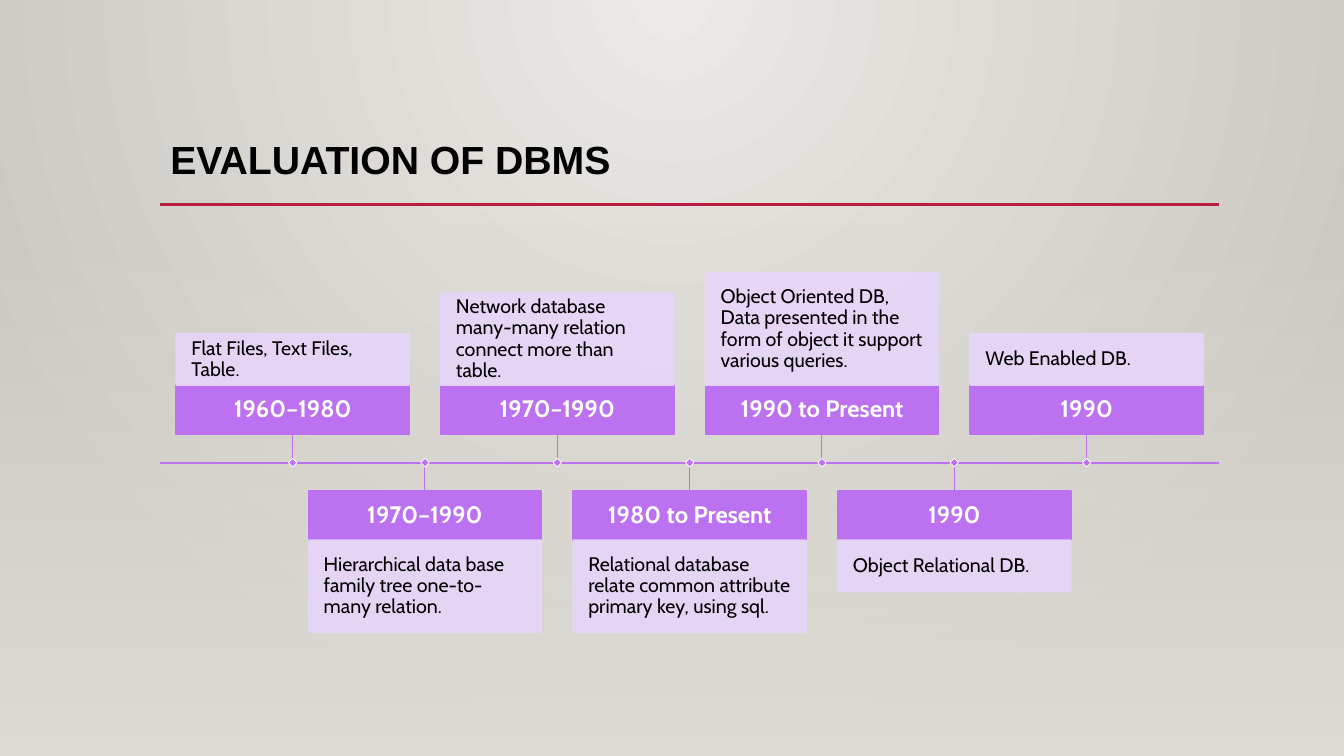
from pptx import Presentation
from pptx.dml.color import RGBColor
from pptx.enum.shapes import MSO_CONNECTOR, MSO_SHAPE
from pptx.enum.text import MSO_ANCHOR, PP_ALIGN
from pptx.oxml import parse_xml
from pptx.oxml.ns import nsdecls, qn
from pptx.oxml.xmlchemy import OxmlElement
from pptx.util import Inches, Pt

SLIDE_W, SLIDE_H = 13.33, 7.5
CONTENT_LEFT, CONTENT_W = 1.59, 10.5
PURPLE, LILAC, CRIMSON = "BC72F0", "E7D5F9", "B71E42"
BLACK, WHITE = "000000", "FFFFFF"

# (period, description, description height), alternating above and below the axis
MILESTONES = [
    ("1960–1980", "Flat Files, Text Files, Table.", 0.51),
    ("1970–1990", "Hierarchical data base family tree one-to-many relation.", 0.91),
    ("1970–1990", "Network database many-many relation connect more than table.", 0.91),
    ("1980 to Present", "Relational database relate common attribute primary key, using sql.", 0.91),
    ("1990 to Present", "Object Oriented DB, Data presented in the form of object it support "
                        "various queries.", 1.11),
    ("1990", "Object Relational DB.", 0.51),
    ("1990", "Web Enabled DB.", 0.51),
]


def rgb(color):
    return RGBColor.from_string(color)


def set_alpha(fill_parent, percent):
    """Make the solid colours below an element partly transparent."""
    for color in fill_parent.iter(qn("a:srgbClr")):
        alpha = OxmlElement("a:alpha")
        alpha.set("val", str(percent * 1000))
        color.append(alpha)


def set_gradient(fill_parent, start, end, direction, start_alpha=100):
    """Replace the solid fill below an element with a two-stop gradient."""
    gradient = parse_xml(
        f'<a:gradFill {nsdecls("a")} rotWithShape="1"><a:gsLst>'
        f'<a:gs pos="0"><a:srgbClr val="{start}"><a:alpha val="{start_alpha * 1000}"/>'
        f'</a:srgbClr></a:gs><a:gs pos="100000"><a:srgbClr val="{end}"/></a:gs>'
        f'</a:gsLst>{direction}</a:gradFill>')
    solid = next(fill_parent.iter(qn("a:solidFill")))
    solid.getparent().replace(solid, gradient)


def write_text(frame, text, *, font, size, color, bold=False, align=PP_ALIGN.LEFT,
               anchor=MSO_ANCHOR.MIDDLE, inset=0.1):
    frame.word_wrap = True
    frame.vertical_anchor = anchor
    frame.margin_left = frame.margin_right = Inches(inset)
    frame.margin_top = frame.margin_bottom = Inches(inset)
    paragraph = frame.paragraphs[0]
    paragraph.alignment = align
    paragraph.line_spacing = 0.9
    run = paragraph.add_run()
    run.text = text
    run.font.name, run.font.size, run.font.bold = font, Pt(size), bold
    run.font.color.rgb = rgb(color)


def add_box(slide, left, top, width, height, fill, line=None, line_width=1.25):
    box = slide.shapes.add_shape(MSO_SHAPE.RECTANGLE, Inches(left), Inches(top),
                                 Inches(width), Inches(height))
    box.shadow.inherit = False
    box.fill.solid()
    box.fill.fore_color.rgb = rgb(fill)
    if line:
        box.line.color.rgb = rgb(line)
        box.line.width = Pt(line_width)
    else:
        box.line.fill.background()
    return box


def add_line(slide, x1, y1, x2, y2, color, width):
    line = slide.shapes.add_connector(MSO_CONNECTOR.STRAIGHT, Inches(x1), Inches(y1),
                                      Inches(x2), Inches(y2))
    line.line.color.rgb = rgb(color)
    line.line.width = Pt(width)
    line._element.spPr.append(OxmlElement("a:effectLst"))


def add_backdrop(slide):
    slide.background.fill.solid()
    slide.background.fill.fore_color.rgb = rgb(WHITE)
    set_gradient(next(slide.element.iter(qn("p:bgPr"))), "ECEAE7", "CAC7C1",
                 '<a:path path="circle">'
                 '<a:fillToRect l="43000" t="0" r="43000" b="100000"/></a:path>')
    floor_top = 2.21
    floor = add_box(slide, 0, floor_top, SLIDE_W, SLIDE_H - floor_top, "DFDBD5")
    set_gradient(floor._element.spPr, "DFDBD5", "DFDBD5",
                 '<a:lin ang="5400000" scaled="0"/>', start_alpha=0)


def add_heading(slide, text, left, top, width, height):
    """Fill the title placeholder and rule a line along its bottom edge."""
    title = slide.shapes.title
    title.left, title.top = Inches(left), Inches(top)
    title.width, title.height = Inches(width), Inches(height)
    write_text(title.text_frame, text, font="Arial", size=28, color=BLACK, bold=True,
               anchor=MSO_ANCHOR.BOTTOM)
    title.text_frame.margin_bottom = Inches(0.21)
    add_line(slide, left, top + height, left + width, top + height, CRIMSON, 2.5)


def add_milestone(slide, x, axis_y, width, above, period, description, body_h):
    """Place one card centred on x, with its stem and marker on the axis."""
    stem, period_h, marker = 0.28, 0.49, 0.06
    if above:
        period_top = axis_y - stem - period_h
        body_top = period_top - body_h
        stem_end = axis_y - stem
    else:
        period_top = stem_end = axis_y + stem
        body_top = period_top + period_h

    header = add_box(slide, x - width / 2, period_top, width, period_h, PURPLE, PURPLE)
    write_text(header.text_frame, period, font="Cabin", size=17, color=WHITE, bold=True,
               align=PP_ALIGN.CENTER, inset=0.09)
    body = add_box(slide, x - width / 2, body_top, width, body_h, LILAC, LILAC)
    set_alpha(body._element.spPr, 90)
    write_text(body.text_frame, description, font="Cabin", size=14, color=BLACK, inset=0.15)

    add_line(slide, x, axis_y, x, stem_end, PURPLE, 0.75)
    dot = add_box(slide, x - marker / 2, axis_y - marker / 2, marker, marker,
                  PURPLE, WHITE, 0.5)
    dot.rotation = 45


def add_timeline(slide, left, axis_y, width):
    add_line(slide, left, axis_y, left + width, axis_y, PURPLE, 1.25)
    pitch = width / (len(MILESTONES) + 1)
    for index, milestone in enumerate(MILESTONES):
        add_milestone(slide, left + (index + 1) * pitch, axis_y, width * 0.22,
                      index % 2 == 0, *milestone)


def main():
    deck = Presentation()
    deck.slide_width, deck.slide_height = Inches(SLIDE_W), Inches(SLIDE_H)
    slide = deck.slides.add_slide(deck.slide_layouts.get_by_name("Title Only"))
    add_backdrop(slide)
    add_heading(slide, "EVALUATION OF DBMS", CONTENT_LEFT, 0.88, CONTENT_W, 1.15)
    add_timeline(slide, CONTENT_LEFT, 4.59, CONTENT_W)
    deck.save("out.pptx")


if __name__ == "__main__":
    main()
